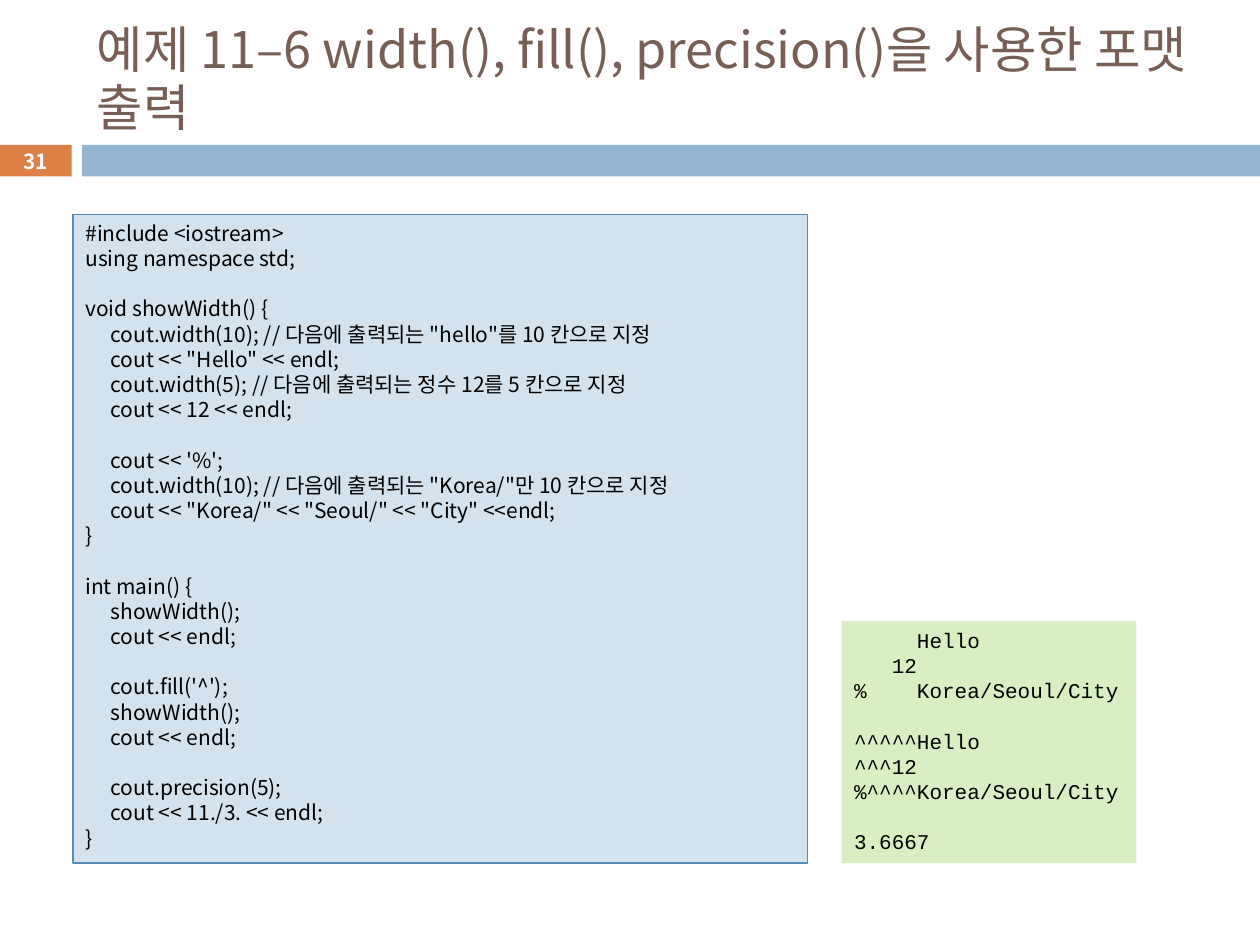
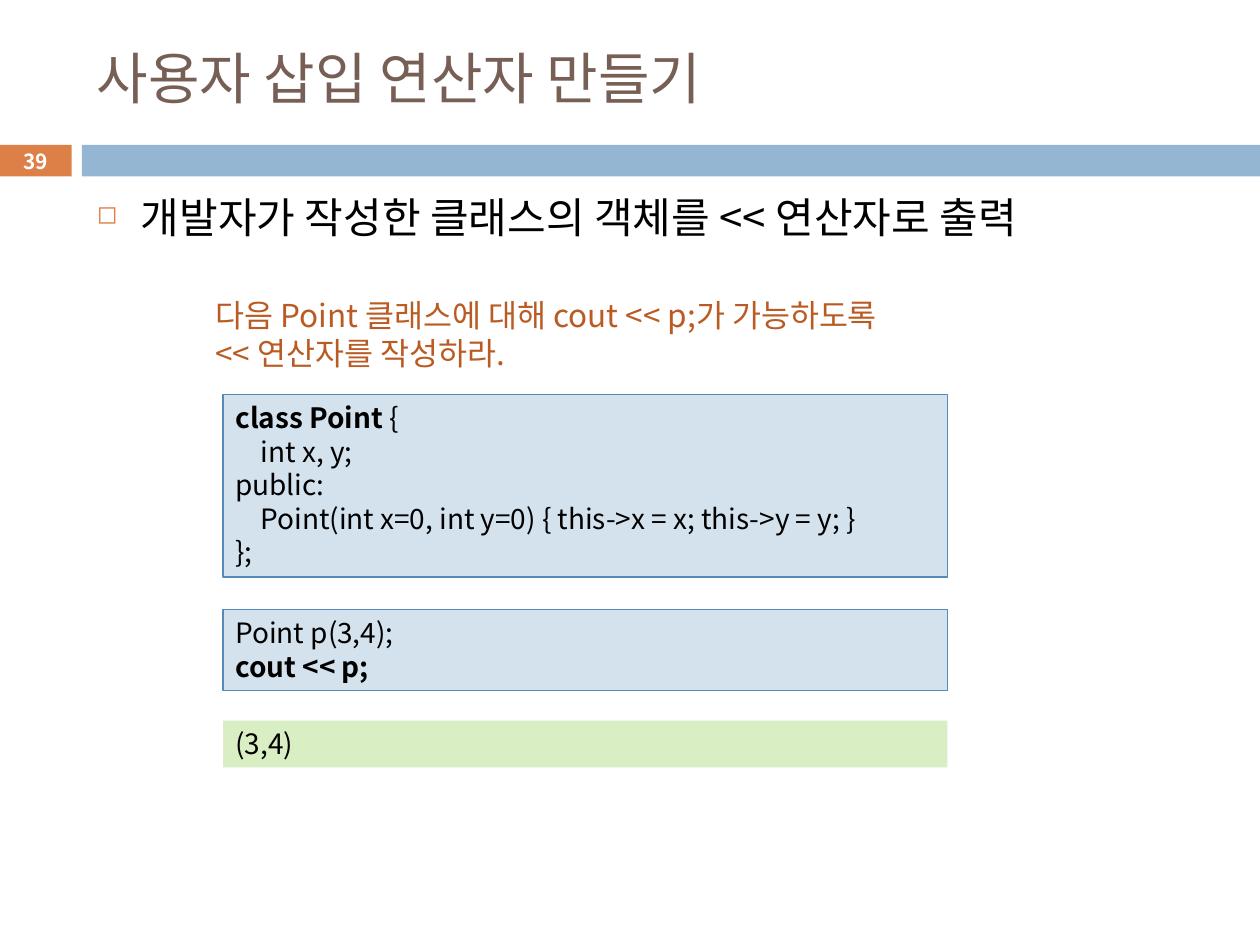
import dataclasses

import lxml.etree
import pptx
import pptx.dml.color
import pptx.enum.shapes
import pptx.enum.text
import pptx.oxml.ns
import pptx.util

Inches = pptx.util.Inches
Pt = pptx.util.Pt
Anchor = pptx.enum.text.MSO_ANCHOR
Align = pptx.enum.text.PP_ALIGN


@dataclasses.dataclass(frozen=True)
class Theme:
    font: str = "Noto Sans CJK KR"
    mono_font: str = "Courier New"
    title: str = "775F55"
    accent: str = "DD8047"
    band: str = "94B6D2"
    code_fill: str = "D4E2ED"
    code_line: str = "558BB8"
    output_fill: str = "DAEEC4"
    task: str = "B95B22"
    text: str = "000000"
    white: str = "FFFFFF"
    long_title_size: float = 28.8
    title_size: float = 32
    body_size: float = 24
    task_size: float = 18
    code_size: float = 16
    small_code_size: float = 12
    number_size: float = 11.9
    leading: float = 1.2
    title_leading: float = 1.17
    code_indent: float = 0.2


THEME = Theme()

SHOW_WIDTH_CODE = """#include <iostream>
using namespace std;

void showWidth() {
\tcout.width(10); // 다음에 출력되는 "hello"를 10 칸으로 지정
\tcout << "Hello" << endl;
\tcout.width(5); // 다음에 출력되는 정수 12를 5 칸으로 지정
\tcout << 12 << endl;

\tcout << '%';
\tcout.width(10); // 다음에 출력되는 "Korea/"만 10 칸으로 지정
\tcout << "Korea/" << "Seoul/" << "City" <<endl;
}

int main() {
\tshowWidth();
\tcout << endl;

\tcout.fill('^');
\tshowWidth();
\tcout << endl;

\tcout.precision(5);
\tcout << 11./3. << endl;
}"""

SHOW_WIDTH_OUTPUT = """     Hello
   12
%    Korea/Seoul/City

^^^^^Hello
^^^12
%^^^^Korea/Seoul/City

3.6667"""

POINT_CLASS = """class Point {
\tint x, y;
public:
\tPoint(int x=0, int y=0) { this->x = x; this->y = y; }
};"""


def rgb(color):
    return pptx.dml.color.RGBColor.from_string(color)


def add_rectangle(slide, box, fill, line=None):
    shape = slide.shapes.add_shape(
        pptx.enum.shapes.MSO_SHAPE.RECTANGLE, *map(Inches, box))
    shape.shadow.inherit = False
    shape.fill.solid()
    shape.fill.fore_color.rgb = rgb(fill)
    if line:
        shape.line.color.rgb = rgb(line)
        shape.line.width = Pt(0.75)
    else:
        shape.line.fill.background()
    return shape


def add_run(paragraph, text, size, color, bold=False, font=THEME.font):
    run = paragraph.add_run()
    run.text = text
    run.font.size = Pt(size)
    run.font.bold = bold
    run.font.color.rgb = rgb(color)
    run.font.name = font
    # East Asian letters take the same font
    properties = run.font._element
    east_asian = lxml.etree.SubElement(properties, pptx.oxml.ns.qn("a:ea"))
    east_asian.set("typeface", font)


def write_lines(shape, text, size, color, bold_parts=(), font=THEME.font,
                anchor=Anchor.TOP, align=Align.LEFT, leading=THEME.leading, wrap=True):
    """Write one paragraph a line: a tab indents, an empty line becomes space before."""
    frame = shape.text_frame
    frame.word_wrap = wrap
    frame.vertical_anchor = anchor
    paragraph = frame.paragraphs[0]
    line_height = Pt(size * leading)
    started = gap = False
    for line in text.split("\n"):
        if not line:
            gap = True
            continue
        if started:
            paragraph = frame.add_paragraph()
        paragraph.alignment = align
        paragraph.line_spacing = line_height
        if gap:
            paragraph.space_before = line_height
        if line.startswith("\t"):
            paragraph._p.get_or_add_pPr().set("marL", str(Inches(THEME.code_indent)))
        line = line.lstrip("\t")
        bold = next((part for part in bold_parts if line.startswith(part)), "")
        for part, is_bold in ((bold, True), (line[len(bold):], False)):
            if part:
                add_run(paragraph, part, size, color, is_bold, font)
        started, gap = True, False
    return paragraph


def add_text(slide, box, text, size, color, **options):
    return write_lines(slide.shapes.add_textbox(*map(Inches, box)),
                       text, size, color, **options)


def add_code(slide, box, code, size, bold_parts=()):
    shape = add_rectangle(slide, box, THEME.code_fill, THEME.code_line)
    write_lines(shape, code, size, THEME.text, bold_parts)


def add_output(slide, box, output, size, font=THEME.font, wrap=True):
    shape = add_rectangle(slide, box, THEME.output_fill)
    write_lines(shape, output, size, THEME.text, font=font, wrap=wrap)


def add_bullet(slide, box, text):
    paragraph = add_text(slide, box, text, THEME.body_size, THEME.text)
    properties = paragraph._p.get_or_add_pPr()
    properties.set("marL", str(Inches(0.35)))
    properties.set("indent", str(-Inches(0.35)))
    qn = pptx.oxml.ns.qn
    color = lxml.etree.SubElement(properties, qn("a:buClr"))
    lxml.etree.SubElement(color, qn("a:srgbClr")).set("val", THEME.accent)
    lxml.etree.SubElement(properties, qn("a:buSzPct")).set("val", "60000")
    lxml.etree.SubElement(properties, qn("a:buChar")).set("char", "◻")


def add_base_slide(presentation, title, title_size, number):
    """Add a slide with its title, band and page number."""
    slide = presentation.slides.add_slide(presentation.slide_layouts[6])
    number_box = add_rectangle(slide, (0, 1.15, 0.57, 0.25), THEME.accent)
    add_rectangle(slide, (0.65, 1.15, 9.35, 0.25), THEME.band)
    frame = number_box.text_frame
    frame.margin_left = frame.margin_right = frame.margin_top = frame.margin_bottom = 0
    write_lines(number_box, number, THEME.number_size, THEME.white,
                bold_parts=(number,), anchor=Anchor.MIDDLE, align=Align.CENTER)
    add_text(slide, (0.67, 0.25, 8.92, 0.74), title, title_size, THEME.title,
             anchor=Anchor.MIDDLE, leading=THEME.title_leading)
    return slide


def add_format_example(slide, box):
    """Place the listing at the left and its output at the lower right."""
    left, top, width, height = box
    output_width, output_height = 2.34, 1.92
    add_code(slide, (left, top, 5.83, height), SHOW_WIDTH_CODE, THEME.small_code_size)
    add_output(slide, (left + width - output_width, top + height - output_height,
                       output_width, output_height),
               SHOW_WIDTH_OUTPUT, THEME.small_code_size, THEME.mono_font, wrap=False)


def add_point_exercise(slide, box):
    """Place the task above the class, its use and the result."""
    left, top, width = box
    add_text(slide, (left - 0.16, top, 6.22, 0.71),
             "다음 Point 클래스에 대해 cout << p;가 가능하도록\n<< 연산자를 작성하라.",
             THEME.task_size, THEME.task)
    add_code(slide, (left, top + 0.83, width, 1.45), POINT_CLASS,
             THEME.code_size, ("class Point ",))
    add_code(slide, (left, top + 2.54, width, 0.64), "Point p(3,4);\ncout << p;",
             THEME.code_size, ("cout << p;",))
    add_output(slide, (left, top + 3.42, width, 0.37), "(3,4)", THEME.code_size)


def main():
    presentation = pptx.Presentation()
    presentation.slide_width = Inches(10)
    presentation.slide_height = Inches(7.5)

    # Formatted output example
    slide = add_base_slide(
        presentation, "예제 11–6 width(), fill(), precision()을 사용한 포맷 출력",
        THEME.long_title_size, "31")
    add_format_example(slide, (0.58, 1.7, 8.44, 5.15))

    # User-defined insertion operator
    slide = add_base_slide(presentation, "사용자 삽입 연산자 만들기", THEME.title_size, "39")
    add_bullet(slide, (0.67, 1.47, 8.92, 0.6),
               "개발자가 작성한 클래스의 객체를 << 연산자로 출력")
    add_point_exercise(slide, (1.77, 2.3, 5.75))

    presentation.save("out.pptx")


if __name__ == "__main__":
    main()
